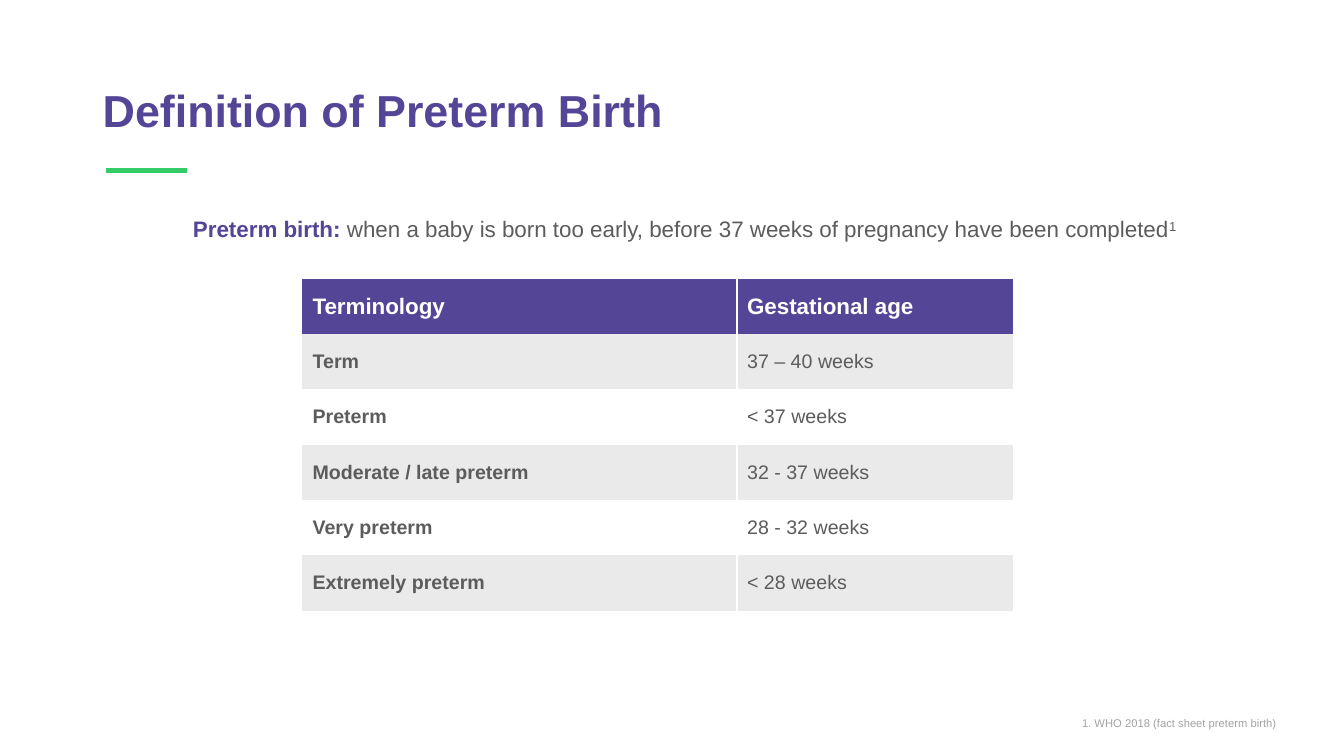
from dataclasses import dataclass

from lxml.etree import SubElement
from pptx import Presentation
from pptx.dml.color import RGBColor as Rgb
from pptx.enum.shapes import MSO_CONNECTOR as Connector
from pptx.enum.text import MSO_ANCHOR as Anchor, PP_ALIGN as Align
from pptx.oxml import parse_xml
from pptx.oxml.ns import nsdecls, qn
from pptx.util import Pt

EMU_PER_PX = 9144  # 100 px to the inch
NO_GRID_STYLE = "{2D5ABB26-0587-4C30-8999-92F81FD0307C}"


@dataclass(frozen=True)
class Theme:
    font: str = "Arial"
    purple: str = "554596"
    green: str = "33CC66"
    text: str = "5C5C5C"
    muted: str = "A3A3A3"
    band: str = "EAEAEA"
    white: str = "FFFFFF"
    title_size: int = 32
    lead_size: int = 16
    cell_size: int = 14
    source_size: int = 8


THEME = Theme()

TERMS = [
    ("Terminology", "Gestational age"),
    ("Term", "37 – 40 weeks"),
    ("Preterm", "< 37 weeks"),
    ("Moderate / late preterm", "32 - 37 weeks"),
    ("Very preterm", "28 - 32 weeks"),
    ("Extremely preterm", "< 28 weeks"),
]


def px(*lengths):
    return [length * EMU_PER_PX for length in lengths]


def style_font(font, size, color, bold=False):
    font.name = THEME.font
    font.size = Pt(size)
    font.bold = bold
    font.color.rgb = Rgb.from_string(color)


def add_text(slide, box, text, size, color, bold=False, align=Align.LEFT,
             anchor=Anchor.MIDDLE, wrap=True, spacing=1.0):
    frame = slide.shapes.add_textbox(*px(*box)).text_frame
    frame.word_wrap = wrap
    frame.vertical_anchor = anchor
    paragraph = frame.paragraphs[0]
    paragraph.alignment = align
    paragraph.line_spacing = spacing
    paragraph.text = text
    style_font(paragraph.font, size, color, bold)
    return paragraph


def add_accent(slide, left, top, width):
    accent = slide.shapes.add_connector(
        Connector.STRAIGHT, *px(left, top, left + width, top))
    accent.line.color.rgb = Rgb.from_string(THEME.green)
    accent.line.width = Pt(4)
    SubElement(accent._element.spPr, qn("a:effectLst"))


def add_definition(slide, box, term, meaning, reference):
    definition = add_text(slide, box, "", THEME.lead_size, THEME.text,
                          align=Align.CENTER, anchor=Anchor.TOP, spacing=0.9)
    for part, color, bold in ((term, THEME.purple, True),
                              (meaning, THEME.text, False),
                              (reference, THEME.text, False)):
        run = definition.add_run()
        run.text = part
        style_font(run.font, THEME.lead_size, color, bold)
    run._r.get_or_add_rPr().set("baseline", "30000")


def add_divider(cell, side):
    """Draw a white 1 pt border on side "L" or "R" of a cell."""
    cell._tc.get_or_add_tcPr().insert(0, parse_xml(
        f'<a:ln{side} {nsdecls("a")} w="12700"><a:solidFill>'
        f'<a:srgbClr val="{THEME.white}"/></a:solidFill></a:ln{side}>'))


def fill_cell(cell, text, row, column):
    header = row == 0
    fill = THEME.purple if header else THEME.band if row % 2 else THEME.white
    cell.fill.solid()
    cell.fill.fore_color.rgb = Rgb.from_string(fill)
    cell.vertical_anchor = Anchor.MIDDLE
    cell.text = text
    style_font(cell.text_frame.paragraphs[0].font,
               THEME.lead_size if header else THEME.cell_size,
               THEME.white if header else THEME.text,
               bold=header or column == 0)
    add_divider(cell, "RL"[column])


def add_terms_table(slide, left, top, widths, heights):
    table = slide.shapes.add_table(
        len(TERMS), len(widths),
        *px(left, top, sum(widths), sum(heights))).table
    table._tbl.tblPr.find(qn("a:tableStyleId")).text = NO_GRID_STYLE
    table.horz_banding = False
    for column, width in zip(table.columns, px(*widths)):
        column.width = width
    for row, height in zip(table.rows, px(*heights)):
        row.height = height
    for row, texts in enumerate(TERMS):
        for column, text in enumerate(texts):
            fill_cell(table.cell(row, column), text, row, column)


def main():
    deck = Presentation()
    deck.slide_width, deck.slide_height = px(1333, 750)
    slide = deck.slides.add_slide(deck.slide_layouts[6])

    add_accent(slide, 105, 169, 80)
    add_text(slide, (92, 40, 1150, 145), "Definition of Preterm Birth",
             THEME.title_size, THEME.purple, bold=True, spacing=0.9)
    add_definition(
        slide, (104, 212, 1150, 37), "Preterm birth: ",
        "when a baby is born too early, before 37 weeks of pregnancy "
        "have been completed", "1")
    add_text(slide, (1061, 705, 215, 24),
             "1. WHO 2018 (fact sheet preterm birth)",
             THEME.source_size, THEME.muted, align=Align.RIGHT, wrap=False)
    add_terms_table(slide, 300, 277, (431, 274),
                    [54] + [55] * (len(TERMS) - 1))

    deck.save("out.pptx")


if __name__ == "__main__":
    main()
